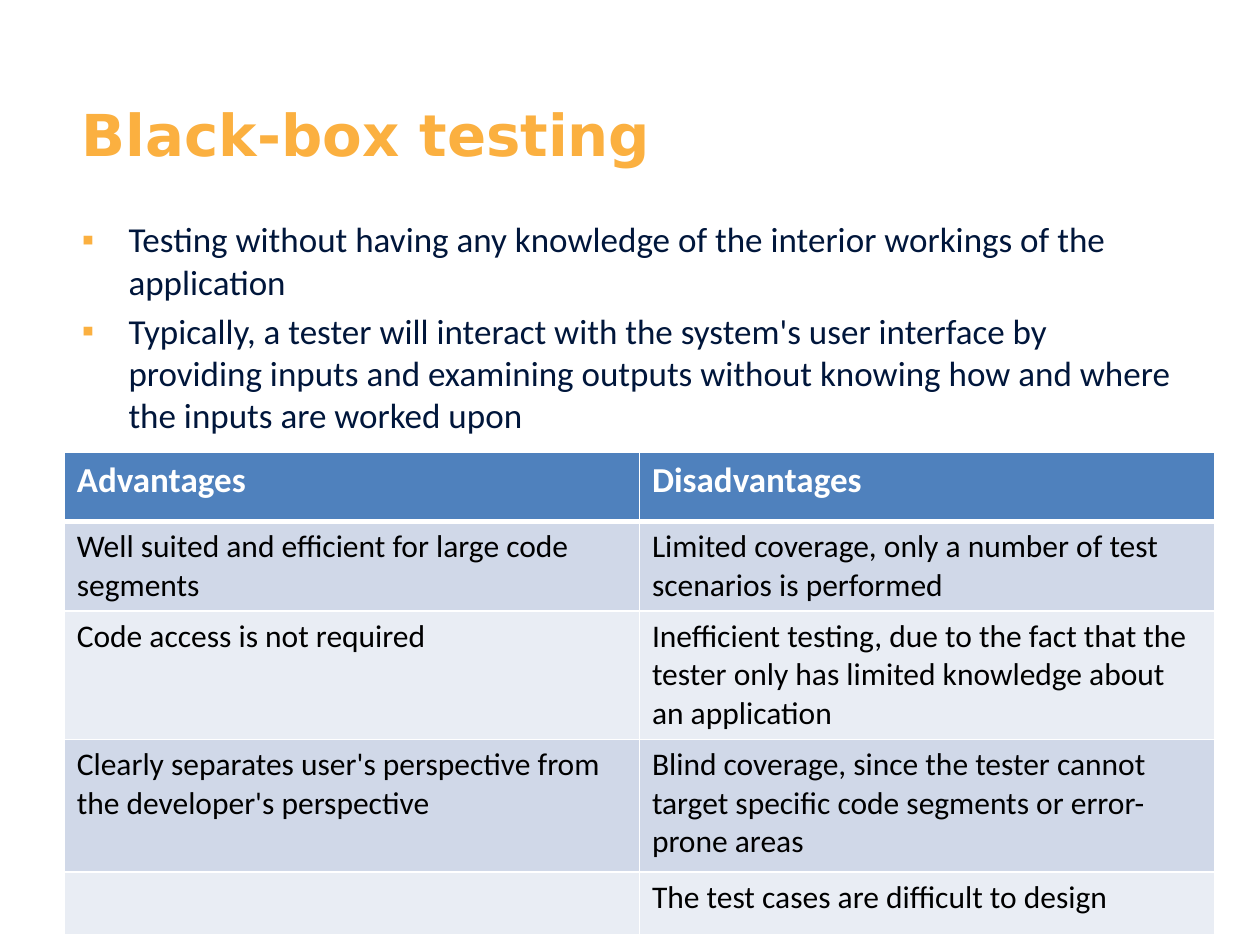
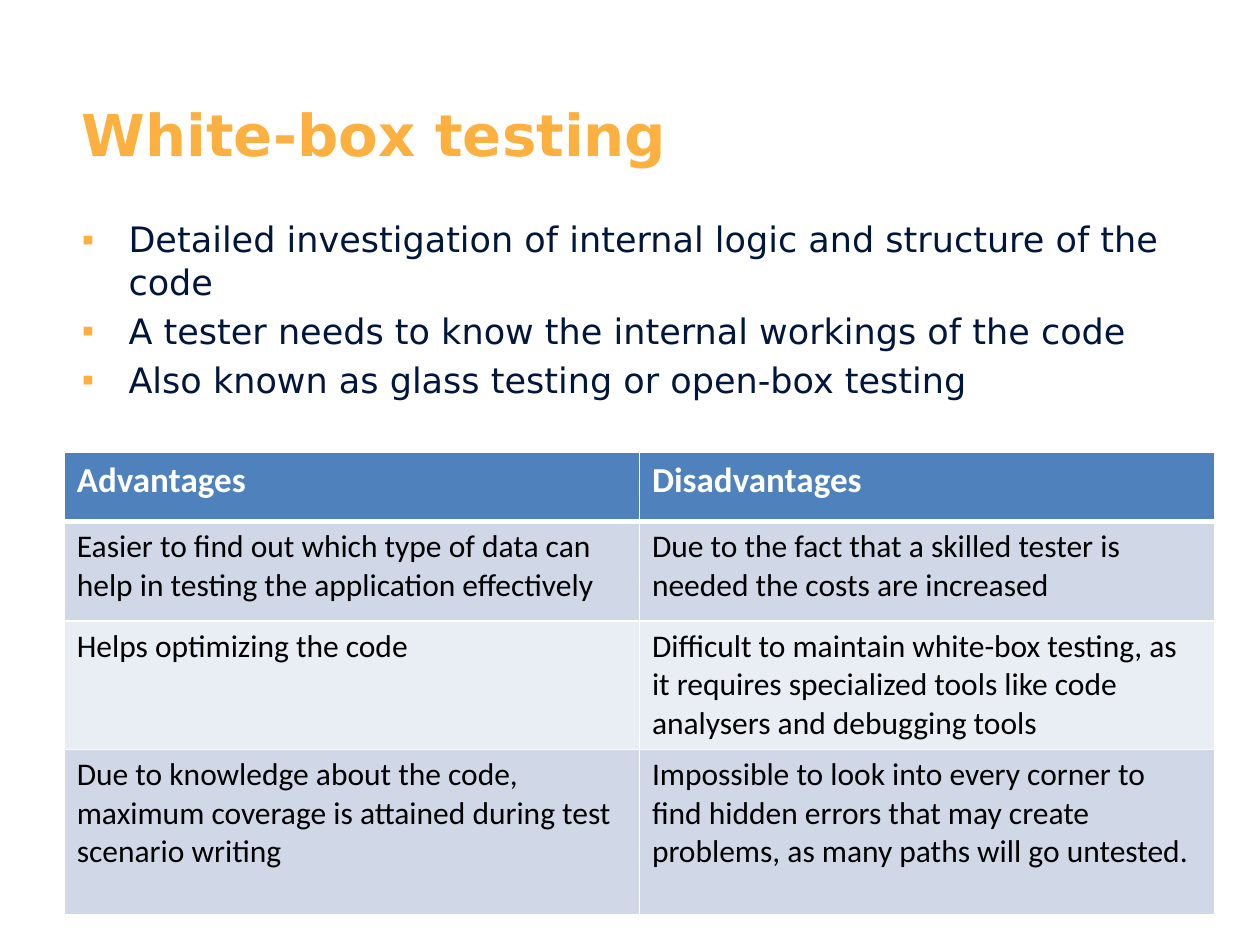
from dataclasses import dataclass

from lxml.etree import SubElement
from pptx import Presentation
from pptx.dml.color import RGBColor as RGB
from pptx.enum.text import MSO_ANCHOR as Anchor, MSO_AUTO_SIZE as AutoSize, PP_ALIGN as Align
from pptx.oxml.ns import qn
from pptx.util import Inches, Pt


@dataclass(frozen=True)
class Theme:
    accent: str = "FBB040"
    ink: str = "00163B"
    header: str = "4F81BD"
    header_text: str = "FFFFFF"
    cell_text: str = "000000"
    border: str = "FFFFFF"
    bands: tuple = ("D0D8E8", "E9EDF4")
    title_font: str = "DejaVu Sans"
    table_font: str = "Calibri"
    title_size: int = 33
    body_size: int = 20
    cell_size: int = 18
    thin: int = 1
    thick: int = 3


THEME = Theme()
TITLE_BOX = (0.56, 0.73, 8.84, 0.81)
POINTS_BOX = (0.56, 1.68, 8.84, 5.38)
TABLE_BOX = (0.51, 3.59, 9.13)
HEADINGS = ("Advantages", "Disadvantages")

TOPICS = [
    {
        "title": "Black-box testing",
        "points_font": "Calibri",
        "points": [
            "Testing without having any knowledge of the interior workings of the application",
            "Typically, a tester will interact with the system's user interface by providing "
            "inputs and examining outputs without knowing how and where the inputs are worked upon",
        ],
        "comparison": [
            ("Well suited and efficient for large code segments",
             "Limited coverage, only a number of test scenarios is performed"),
            ("Code access is not required",
             "Inefficient testing, due to the fact that the tester only has limited knowledge "
             "about an application"),
            ("Clearly separates user's perspective from the developer's perspective",
             "Blind coverage, since the tester cannot target specific code segments or "
             "error-prone areas"),
            ("", "The test cases are difficult to design"),
        ],
        "row_heights": (0.55, 0.71, 1.02, 1.05, 0.5),
    },
    {
        "title": "White-box testing",
        "points_font": "DejaVu Sans",
        "points": [
            "Detailed investigation of internal logic and structure of the code",
            "A tester needs to know the internal workings of the code",
            "Also known as glass testing or open-box testing",
        ],
        "comparison": [
            ("Easier to find out which type of data can help in testing the application effectively",
             "Due to the fact that a skilled tester is needed the costs are increased"),
            ("Helps optimizing the code",
             "Difficult to maintain white-box testing, as it requires specialized tools like "
             "code analysers and debugging tools"),
            ("Due to knowledge about the code, maximum coverage is attained during test "
             "scenario writing",
             "Impossible to look into every corner to find hidden errors that may create "
             "problems, as many paths will go untested."),
        ],
        "row_heights": (0.55, 0.79, 1.02, 1.31),
    },
]


def style_font(paragraph, name, size, color, bold=False):
    font = paragraph.font
    font.name, font.size, font.bold = name, Pt(size), bold
    font.color.rgb = RGB.from_string(color)


def place(placeholder, box):
    left, top, width, height = map(Inches, box)
    placeholder.left, placeholder.top = left, top
    placeholder.width, placeholder.height = width, height
    frame = placeholder.text_frame
    frame.word_wrap = True
    frame.auto_size = AutoSize.NONE
    frame.vertical_anchor = Anchor.TOP
    frame.margin_left = frame.margin_right = Inches(0.09)
    frame.margin_top = frame.margin_bottom = Inches(0.05)
    return frame


def add_title(slide, box, title):
    frame = place(slide.shapes.title, box)
    frame.text = title
    heading = frame.paragraphs[0]
    heading.alignment = Align.LEFT
    style_font(heading, THEME.title_font, THEME.title_size, THEME.accent, True)


def set_bullet(paragraph):
    properties = paragraph._p.get_or_add_pPr()
    properties.set("marL", str(Inches(0.37)))
    properties.set("indent", str(-Inches(0.37)))
    color = SubElement(properties, qn("a:buClr"))
    SubElement(color, qn("a:srgbClr"), val=THEME.accent)
    SubElement(properties, qn("a:buChar"), char="▪")


def add_points(slide, box, points, font_name):
    frame = place(slide.placeholders[1], box)
    frame.text = "\n".join(points)
    for point in frame.paragraphs:
        point.alignment = Align.LEFT
        point.space_before = Pt(0.2 * THEME.body_size)
        set_bullet(point)
        style_font(point, font_name, THEME.body_size, THEME.ink)


def set_borders(cell, top, bottom):
    properties = cell._tc.get_or_add_tcPr()
    widths = {"a:lnL": THEME.thin, "a:lnR": THEME.thin, "a:lnT": top, "a:lnB": bottom}
    for side, width in widths.items():
        line = SubElement(properties, qn(side), w=str(Pt(width)))
        fill = SubElement(line, qn("a:solidFill"))
        SubElement(fill, qn("a:srgbClr"), val=THEME.border)


def add_comparison(slide, box, comparison, row_heights):
    left, top, width = map(Inches, box)
    rows = [HEADINGS, *comparison]
    height = Inches(sum(row_heights))
    table = slide.shapes.add_table(len(rows), len(HEADINGS), left, top, width, height).table
    for row_index, (texts, row_height) in enumerate(zip(rows, row_heights)):
        table.rows[row_index].height = Inches(row_height)
        is_header = row_index == 0
        fill = THEME.header if is_header else THEME.bands[(row_index - 1) % 2]
        color = THEME.header_text if is_header else THEME.cell_text
        size = THEME.body_size if is_header else THEME.cell_size
        for column_index, text in enumerate(texts):
            cell = table.cell(row_index, column_index)
            set_borders(cell, THEME.thick if row_index == 1 else THEME.thin,
                        THEME.thick if is_header else THEME.thin)
            cell.fill.solid()
            cell.fill.fore_color.rgb = RGB.from_string(fill)
            cell.text = text
            style_font(cell.text_frame.paragraphs[0], THEME.table_font, size, color, is_header)


def add_topic_slide(deck, topic):
    slide = deck.slides.add_slide(deck.slide_layouts[1])
    add_title(slide, TITLE_BOX, topic["title"])
    add_points(slide, POINTS_BOX, topic["points"], topic["points_font"])
    add_comparison(slide, TABLE_BOX, topic["comparison"], topic["row_heights"])


def main():
    deck = Presentation()
    deck.slide_width, deck.slide_height = Inches(10), Inches(7.5)
    for topic in TOPICS:
        add_topic_slide(deck, topic)
    deck.save("out.pptx")


if __name__ == "__main__":
    main()
